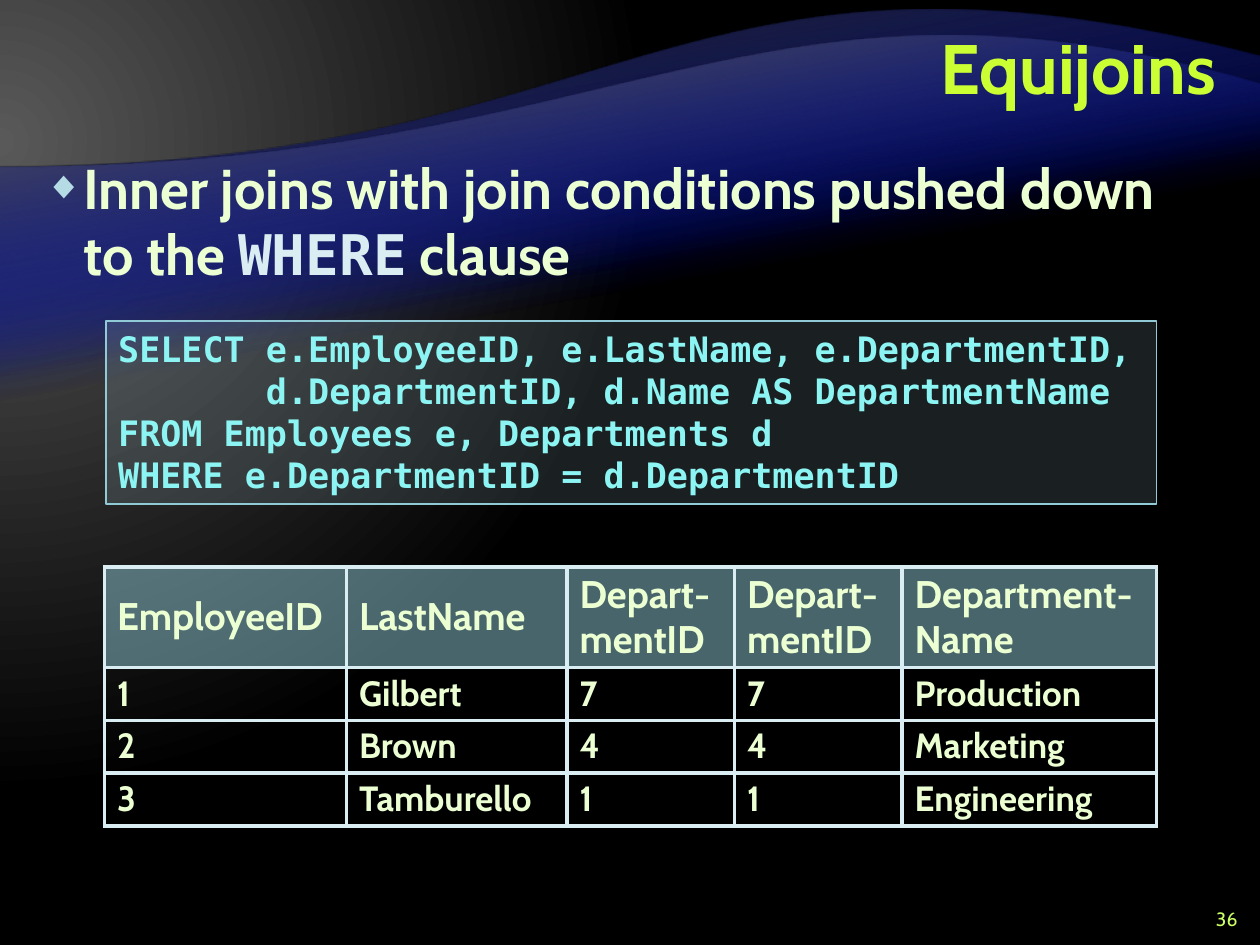
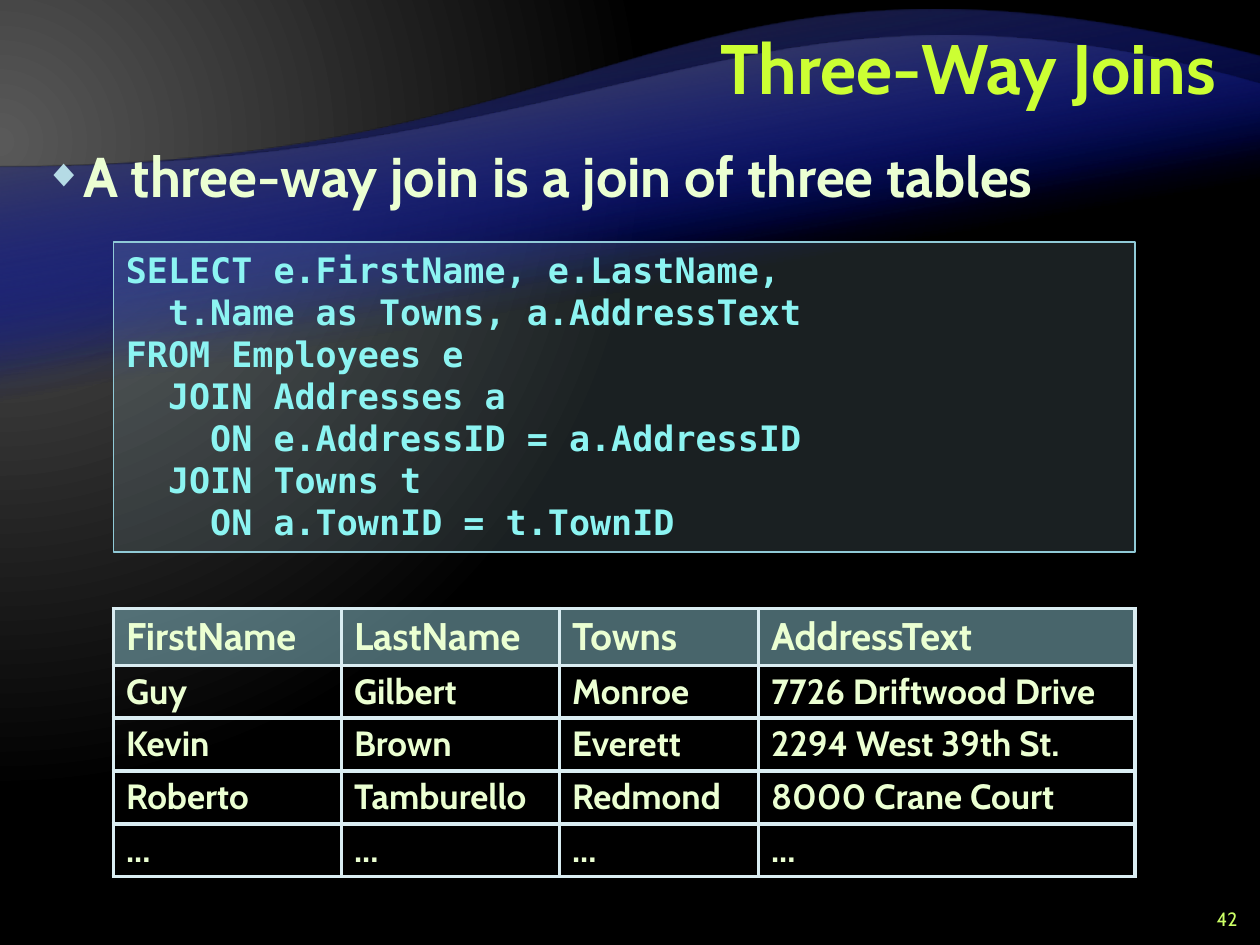
from dataclasses import dataclass

from lxml.etree import SubElement
from pptx import Presentation
from pptx.dml.color import RGBColor
from pptx.enum.shapes import MSO_SHAPE
from pptx.enum.text import MSO_ANCHOR, MSO_AUTO_SIZE, PP_ALIGN
from pptx.oxml import parse_xml
from pptx.oxml.ns import nsdecls, qn
from pptx.util import Emu, Inches, Pt


@dataclass(frozen=True)
class Theme:
    text_font: str = "Cabin"
    code_font: str = "DejaVu Sans Mono"
    title: str = "CCFF33"
    body: str = "EBFFD2"
    keyword: str = "DAEDF2"
    number: str = "CCFF66"
    code: str = "8CF4F2"
    panel: str = "B5DBE5"
    accent: str = "90CAD7"
    border: str = "DAEDF2"
    glow: str = "595959"
    night: str = "000000"
    wave: str = "000D9E"
    title_size: int = 40
    body_size: int = 32
    header_size: int = 22
    cell_size: int = 20
    code_size: int = 20
    number_size: int = 11


THEME = Theme()


@dataclass(frozen=True)
class Box:
    left: float
    top: float
    width: float
    height: float

    def lengths(self) -> tuple[Emu, ...]:
        return tuple(Inches(v) for v in (self.left, self.top, self.width, self.height))


@dataclass(frozen=True)
class Wave:
    bottom: float
    curve: tuple[tuple[float, float], ...]  # start, two controls, end
    crest_color: str


@dataclass(frozen=True)
class Grid:
    box: Box
    columns: tuple[float, ...]
    header_height: float
    rows: tuple[tuple[str, ...], ...]


@dataclass(frozen=True)
class JoinSlide:
    title: str
    body_box: Box
    body: tuple[tuple[str, bool], ...]  # text, is it a keyword
    code_box: Box
    code: str
    grid: Grid
    number: str


TITLE_BOX = Box(2, 0.08, 7.75, 1)
NUMBER_BOX = Box(9.42, 7.17, 0.5, 0.25)
ROW_HEIGHT = 0.42
WAVES = (
    Wave(6.53, ((0, 1.33), (5, 1.33), (5.34, -0.75), (10, 0.45)), "262626"),
    Wave(5.57, ((0, 1.33), (5, 1.33), (5.98, -0.49), (10, 0.67)), "595959"),
)

SLIDES = (
    JoinSlide(
        "Equijoins",
        Box(0.25, 1.17, 9.4, 5.97),
        (("Inner joins with join conditions pushed down to the ", False),
         ("WHERE", True), (" clause", False)),
        Box(0.84, 2.55, 8.34, 1.45),
        """SELECT e.EmployeeID, e.LastName, e.DepartmentID,
       d.DepartmentID, d.Name AS DepartmentName
FROM Employees e, Departments d
WHERE e.DepartmentID = d.DepartmentID""",
        Grid(Box(0.83, 4.5, 8.36, 2.05), (1.92, 1.75, 1.33, 1.33, 2.02), 0.79, (
            ("EmployeeID", "LastName", "Depart-mentID", "Depart-mentID", "Department-Name"),
            ("1", "Gilbert", "7", "7", "Production"),
            ("2", "Brown", "4", "4", "Marketing"),
            ("3", "Tamburello", "1", "1", "Engineering"),
        )),
        "36",
    ),
    JoinSlide(
        "Three-Way Joins",
        Box(0.25, 1.08, 9.5, 6.25),
        (("A three-way join is a join of three tables", False),),
        Box(0.9, 1.92, 8.11, 2.46),
        """SELECT e.FirstName, e.LastName,
  t.Name as Towns, a.AddressText
FROM Employees e
  JOIN Addresses a
    ON e.AddressID = a.AddressID
  JOIN Towns t
    ON a.TownID = t.TownID""",
        Grid(Box(0.9, 4.83, 8.11, 2.12), (1.81, 1.73, 1.58, 2.99), 0.45, (
            ("FirstName", "LastName", "Towns", "AddressText"),
            ("Guy", "Gilbert", "Monroe", "7726 Driftwood Drive"),
            ("Kevin", "Brown", "Everett", "2294 West 39th St."),
            ("Roberto", "Tamburello", "Redmond", "8000 Crane Court"),
            ("...",) * 4,
        )),
        "42",
    ),
)


# Formatting helpers
def rgb(color: str) -> RGBColor:
    return RGBColor.from_string(color)


def style_font(font, size: int, color: str, bold: bool = True,
               name: str = THEME.text_font) -> None:
    font.name, font.size, font.bold = name, Pt(size), bold
    font.color.rgb = rgb(color)


def set_first_alpha(element, percent: int) -> None:
    """Set the opacity of the first colour inside the element."""
    color = next(element.iter(qn("a:srgbClr")))
    SubElement(color, qn("a:alpha"), val=str(percent * 1000))


def set_stops(fill, *stops: tuple[float, str]) -> None:
    fill.gradient()
    for stop, (position, color) in zip(fill.gradient_stops, stops):
        stop.position = position
        stop.color.rgb = rgb(color)


def add_bullet(paragraph) -> None:
    properties = paragraph._p.get_or_add_pPr()
    indent = Inches(0.31)
    properties.set("marL", str(indent))
    properties.set("indent", str(-indent))
    color = SubElement(properties, qn("a:buClr"))
    SubElement(color, qn("a:srgbClr"), val=THEME.panel)
    SubElement(properties, qn("a:buSzPct"), val="70000")
    SubElement(properties, qn("a:buChar"), char="◆")


def add_borders(cell) -> None:
    properties = cell._tc.get_or_add_tcPr()
    for index, side in enumerate(("lnL", "lnR", "lnT", "lnB")):
        properties.insert(index, parse_xml(
            f'<a:{side} {nsdecls("a")} w="{Pt(2.25)}"><a:solidFill>'
            f'<a:srgbClr val="{THEME.border}"/></a:solidFill></a:{side}>'))


# Shared background and waves
def paint_background(master) -> None:
    set_stops(master.background.fill, (0, THEME.glow), (0.83, THEME.night))
    linear = next(master._element.iter(qn("a:lin")))
    linear.getparent().replace(linear, parse_xml(
        f'<a:path {nsdecls("a")} path="circle">'
        '<a:fillToRect l="20000" t="30000" r="135000" b="100000"/></a:path>'))


def bend_last_side(shape, points: list[tuple[Emu, Emu]]) -> None:
    """Turn the last straight side of a freeform into a cubic curve."""
    side = list(shape._element.iter(qn("a:lnTo")))[-1]
    curve = parse_xml(f'<a:cubicBezTo {nsdecls("a")}/>')
    for x, y in points:
        SubElement(curve, qn("a:pt"), x=str(x), y=str(y))
    side.getparent().replace(side, curve)


def add_wave(slide, master, wave: Wave, order: int) -> None:
    start, *controls, end = wave.curve
    top = end[1]

    # Turned half round, so that the gradient runs upwards
    def turn(point: tuple[float, float], offset: float = 0) -> tuple[Emu, Emu]:
        return Inches(10 - point[0]), Inches(wave.bottom + offset - point[1])

    corners = [turn(point, top) for point in ((10, wave.bottom), (0, wave.bottom), start, end)]
    builder = slide.shapes.build_freeform(*corners[0], scale=1.0)
    builder.add_line_segments(corners[1:], close=True)
    shape = builder.convert_to_shape()
    bend_last_side(shape, [turn(point) for point in (*controls, end)])
    shape.rotation = 180
    shape.shadow.inherit = False
    shape.line.fill.background()
    set_stops(shape.fill, (0.65, THEME.wave), (1, wave.crest_color))
    shape.fill.gradient_angle = 280
    set_first_alpha(shape._element.spPr, 0)
    shape._element.nvSpPr.cNvPr.set("id", str(20 + order))
    master.shapes._spTree.insert(2 + order, shape._element)


# Slide parts
def place(shape, box: Box) -> None:
    shape.left, shape.top, shape.width, shape.height = box.lengths()


def fill_title(slide, text: str) -> None:
    title = slide.shapes.title
    place(title, TITLE_BOX)
    frame = title.text_frame
    frame.text = text
    frame.auto_size = MSO_AUTO_SIZE.NONE
    frame.vertical_anchor = MSO_ANCHOR.MIDDLE
    paragraph = frame.paragraphs[0]
    paragraph.alignment = PP_ALIGN.RIGHT
    paragraph.line_spacing = Pt(40)
    style_font(paragraph.font, THEME.title_size, THEME.title)


def fill_body(slide, content: JoinSlide) -> None:
    body = slide.placeholders[1]
    place(body, content.body_box)
    body.text_frame.auto_size = MSO_AUTO_SIZE.NONE
    paragraph = body.text_frame.paragraphs[0]
    add_bullet(paragraph)
    paragraph.line_spacing = Pt(38)
    paragraph.space_before, paragraph.space_after = Pt(0), Pt(6)
    style_font(paragraph.font, THEME.body_size, THEME.body)
    for text, is_keyword in content.body:
        run = paragraph.add_run()
        run.text = text
        if is_keyword:
            style_font(run.font, THEME.body_size, THEME.keyword, name=THEME.code_font)


def add_number(slide, number: str) -> None:
    frame = slide.shapes.add_textbox(*NUMBER_BOX.lengths()).text_frame
    frame.word_wrap = True
    frame.vertical_anchor = MSO_ANCHOR.MIDDLE
    frame.text = number
    paragraph = frame.paragraphs[0]
    paragraph.alignment = PP_ALIGN.RIGHT
    style_font(paragraph.font, THEME.number_size, THEME.number, bold=False)


def add_code(slide, box: Box, code: str) -> None:
    panel = slide.shapes.add_shape(MSO_SHAPE.RECTANGLE, *box.lengths())
    panel.shadow.inherit = False
    panel.fill.solid()
    panel.fill.fore_color.rgb = rgb(THEME.panel)
    set_first_alpha(panel._element.spPr, 15)
    panel.line.color.rgb = rgb(THEME.accent)
    panel.line.width = Pt(1)
    frame = panel.text_frame
    frame.word_wrap = True
    frame.auto_size = MSO_AUTO_SIZE.SHAPE_TO_FIT_TEXT
    frame.vertical_anchor = MSO_ANCHOR.TOP
    frame.text = code
    for paragraph in frame.paragraphs:
        paragraph.alignment = PP_ALIGN.LEFT
        style_font(paragraph.font, THEME.code_size, THEME.code, name=THEME.code_font)


def add_grid(slide, grid: Grid) -> None:
    table = slide.shapes.add_table(
        len(grid.rows), len(grid.columns), *grid.box.lengths()).table
    table.first_row = table.horz_banding = False
    for column, width in zip(table.columns, grid.columns):
        column.width = Inches(width)
    for row_index, texts in enumerate(grid.rows):
        is_header = row_index == 0
        table.rows[row_index].height = Inches(grid.header_height if is_header else ROW_HEIGHT)
        for column_index, text in enumerate(texts):
            cell = table.cell(row_index, column_index)
            cell.text = text
            if is_header:
                cell.vertical_anchor = MSO_ANCHOR.MIDDLE
                cell.fill.solid()
                cell.fill.fore_color.rgb = rgb(THEME.accent)
                set_first_alpha(cell._tc.tcPr, 50)
            else:
                cell.fill.background()
            add_borders(cell)
            paragraph = cell.text_frame.paragraphs[0]
            paragraph.line_spacing = 0.95
            size = THEME.header_size if is_header else THEME.cell_size
            style_font(paragraph.font, size, THEME.body)


def main() -> None:
    presentation = Presentation()
    presentation.slide_width, presentation.slide_height = Inches(10), Inches(7.5)
    master = presentation.slide_master
    paint_background(master)
    for content in SLIDES:
        slide = presentation.slides.add_slide(presentation.slide_layouts[1])
        fill_title(slide, content.title)
        fill_body(slide, content)
        add_number(slide, content.number)
        add_code(slide, content.code_box, content.code)
        add_grid(slide, content.grid)
    # Each wave is laid twice to deepen its colour
    for order, wave in enumerate(WAVES * 2):
        add_wave(presentation.slides[0], master, wave, order)
    presentation.save("out.pptx")


if __name__ == "__main__":
    main()
